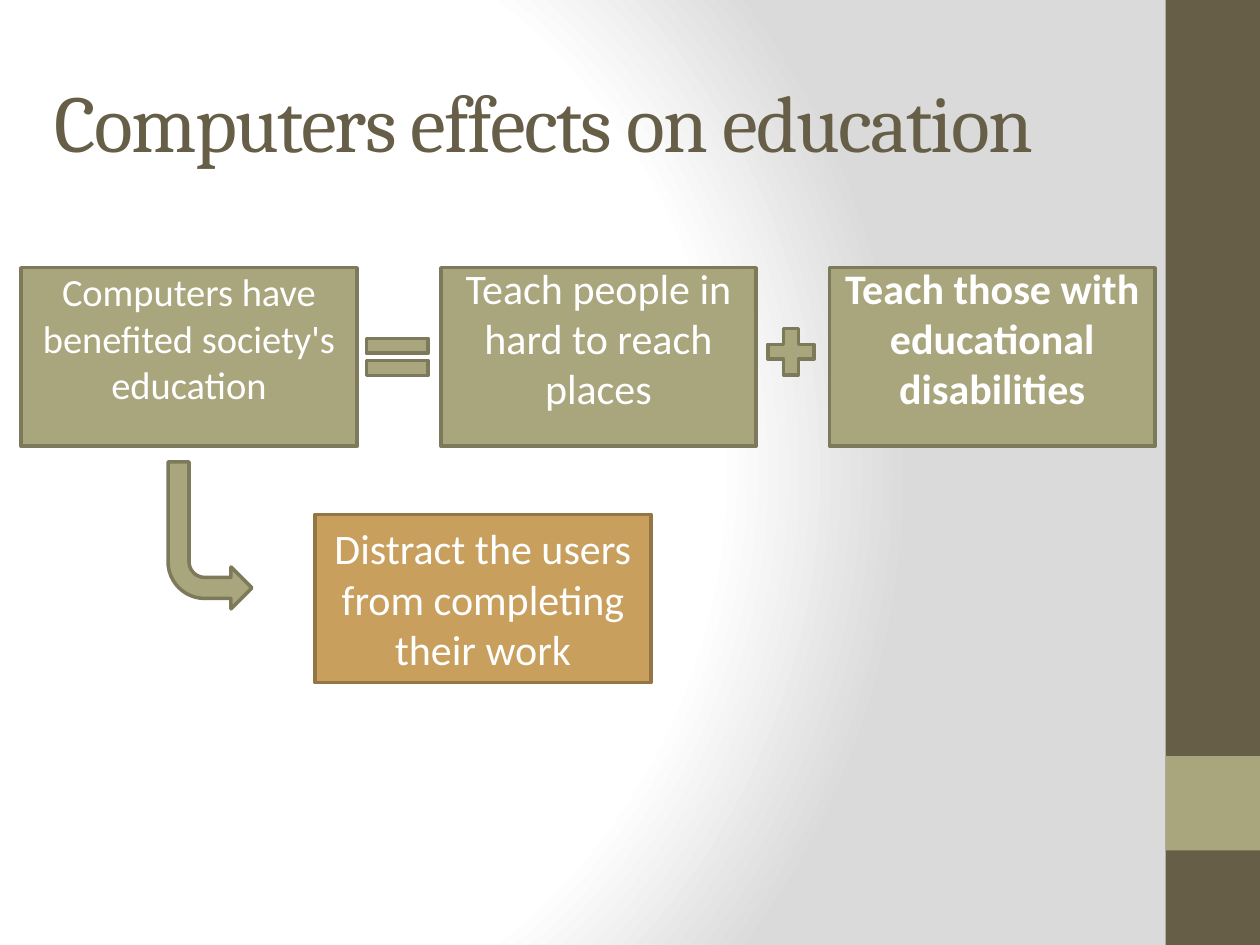
from dataclasses import dataclass

from lxml.etree import SubElement
from pptx import Presentation
from pptx.dml.color import RGBColor
from pptx.enum.shapes import MSO_SHAPE
from pptx.enum.text import MSO_ANCHOR, MSO_AUTO_SIZE, PP_ALIGN
from pptx.oxml.ns import qn
from pptx.shapes.autoshape import Shape
from pptx.slide import Slide
from pptx.util import Pt

BROWN = RGBColor(0x67, 0x5E, 0x47)
SAGE = RGBColor(0xA9, 0xA5, 0x7C)
SAGE_EDGE = RGBColor(0x7D, 0x7A, 0x5C)
OCHRE = RGBColor(0xC8, 0x9F, 0x5D)
OCHRE_EDGE = RGBColor(0x94, 0x76, 0x45)
WHITE = RGBColor(0xFF, 0xFF, 0xFF)
GREY = RGBColor(0xDA, 0xDA, 0xDA)

SIDEBAR_LEFT, SIDEBAR_WIDTH = 666, 54
ROW_TOP, ROW_HEIGHT = 153, 102


@dataclass
class Block:
    left: float
    top: float
    width: float
    height: float
    kind: MSO_SHAPE = MSO_SHAPE.RECTANGLE
    fill: RGBColor = SAGE
    edge: RGBColor | None = SAGE_EDGE


@dataclass
class Statement:
    text: str
    block: Block
    size: float = 24
    bold: bool = False
    bottom_inset: float = 25.6


def draw_block(slide: Slide, block: Block) -> Shape:
    shape = slide.shapes.add_shape(
        block.kind, Pt(block.left), Pt(block.top), Pt(block.width), Pt(block.height))
    shape.shadow.inherit = False
    shape.fill.solid()
    shape.fill.fore_color.rgb = block.fill
    if block.edge is None:
        shape.line.fill.background()
    else:
        shape.line.color.rgb = block.edge
        shape.line.width = Pt(2)
    return shape


def draw_statement(slide: Slide, statement: Statement) -> None:
    frame = draw_block(slide, statement.block).text_frame
    frame.word_wrap = True
    frame.vertical_anchor = MSO_ANCHOR.MIDDLE
    frame.margin_bottom = Pt(statement.bottom_inset)
    paragraph = frame.paragraphs[0]
    paragraph.text = statement.text
    paragraph.alignment = PP_ALIGN.CENTER
    paragraph.font.name = "Calibri"
    paragraph.font.size = Pt(statement.size)
    paragraph.font.bold = statement.bold
    paragraph.font.color.rgb = WHITE


def paint_background(slide: Slide) -> None:
    slide.background.fill.gradient()
    gradient = slide.element.find(".//" + qn("a:gradFill"))
    for child in list(gradient):
        gradient.remove(child)
    stops = SubElement(gradient, qn("a:gsLst"))
    for position, color in ((0, WHITE), (75, WHITE), (100, GREY)):
        stop = SubElement(stops, qn("a:gs"), pos=str(position * 1000))
        SubElement(stop, qn("a:srgbClr"), val=str(color))
    circle = SubElement(gradient, qn("a:path"), path="circle")
    SubElement(circle, qn("a:fillToRect"), l="20000", t="50000", r="100000", b="50000")


def write_title(slide: Slide, text: str) -> None:
    title = slide.shapes.title
    title.left, title.top, title.width, title.height = Pt(24), Pt(24), Pt(612), Pt(90)
    frame = title.text_frame
    frame.word_wrap = True
    frame.auto_size = MSO_AUTO_SIZE.NONE
    frame.vertical_anchor = MSO_ANCHOR.MIDDLE
    paragraph = frame.paragraphs[0]
    paragraph.text = text
    paragraph.alignment = PP_ALIGN.LEFT
    paragraph.font.name = "Cambria"
    paragraph.font.size = Pt(46)
    paragraph.font.color.rgb = BROWN
    # Tighten the letters by one point
    paragraph.runs[0].font._element.set("spc", "-100")


SIDEBAR = [
    Block(SIDEBAR_LEFT, 0, SIDEBAR_WIDTH, 540, fill=BROWN, edge=None),
    Block(SIDEBAR_LEFT, 432, SIDEBAR_WIDTH, SIDEBAR_WIDTH, edge=None),
]
STATEMENTS = [
    Statement("Teach people in hard to reach places",
              Block(252, ROW_TOP, 180, ROW_HEIGHT)),
    Statement("Teach those with educational disabilities",
              Block(474, ROW_TOP, 186, ROW_HEIGHT), bold=True),
    Statement("Computers have benefited society's education",
              Block(12, ROW_TOP, 192, ROW_HEIGHT), size=22),
    Statement("Distract the users from completing their work",
              Block(180, 294, 192, 96, fill=OCHRE, edge=OCHRE_EDGE), bottom_inset=3.6),
]
EQUALS = Block(203, 186, 48, 36, MSO_SHAPE.MATH_EQUAL)
PLUS = Block(434, 183, 36, 36, MSO_SHAPE.MATH_PLUS)
TURN = Block(96, 264, 48, 84, MSO_SHAPE.BENT_ARROW)


def main() -> None:
    deck = Presentation()
    deck.slide_width, deck.slide_height = Pt(720), Pt(540)
    slide = deck.slides.add_slide(deck.slide_layouts[5])

    # Backdrop and title
    paint_background(slide)
    for band in SIDEBAR:
        draw_block(slide, band)
    write_title(slide, "Computers effects on education")

    # Statements and the signs that link them
    for statement in STATEMENTS:
        draw_statement(slide, statement)
    draw_block(slide, EQUALS)
    draw_block(slide, PLUS)
    turn = draw_block(slide, TURN)
    turn.element.spPr.find(qn("a:xfrm")).set("flipV", "1")

    deck.save("out.pptx")


if __name__ == "__main__":
    main()
